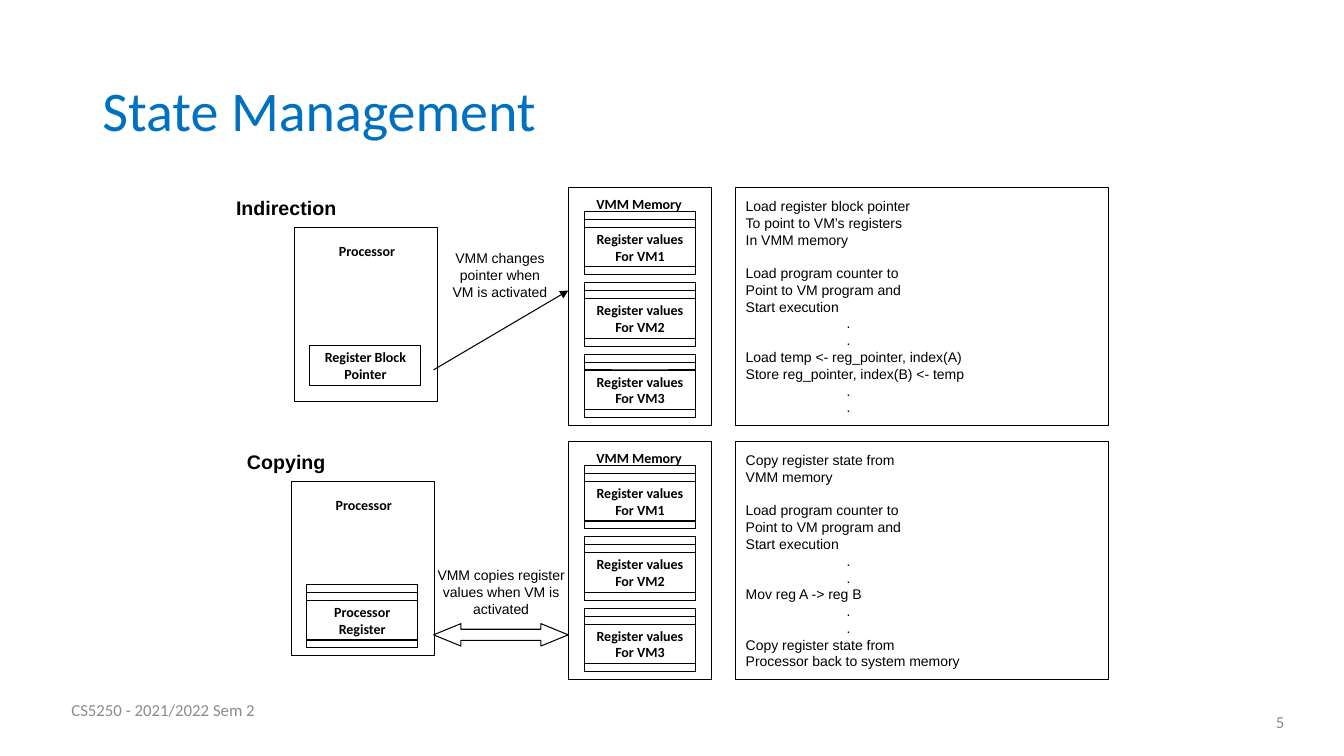
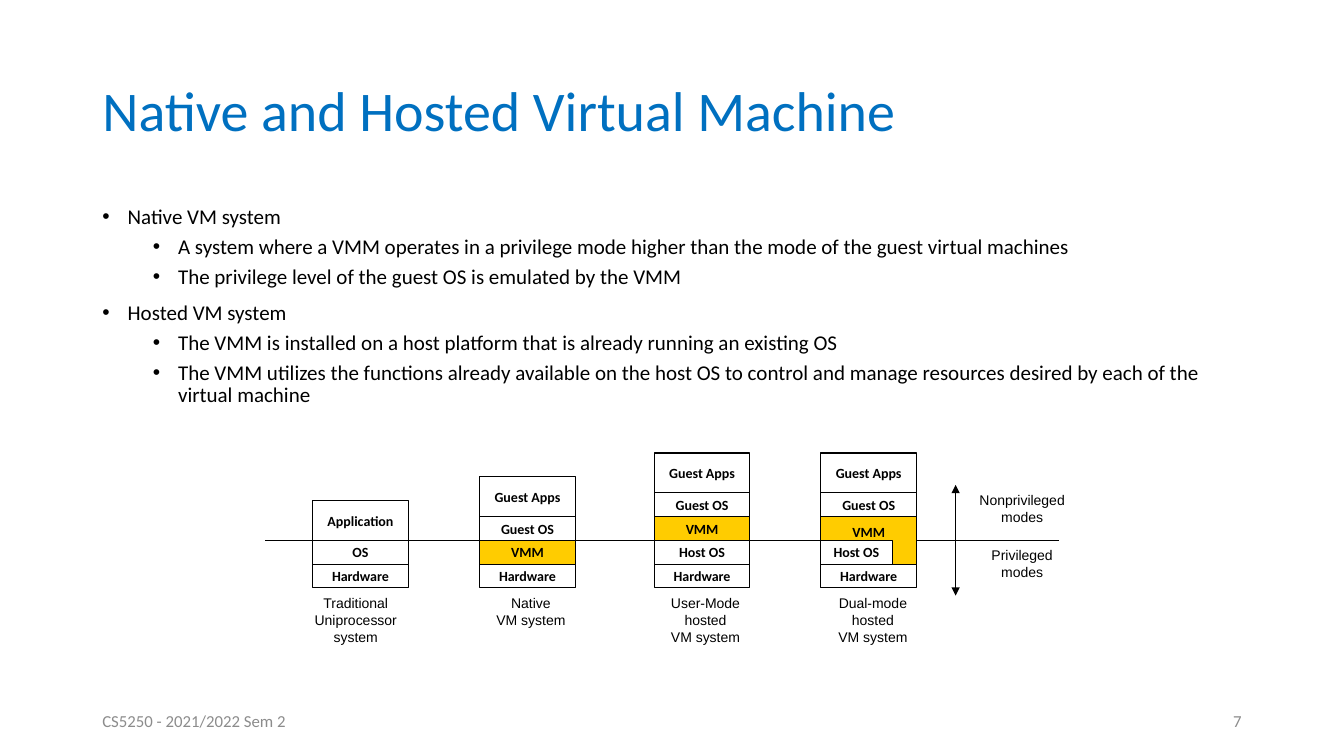
from lxml.etree import SubElement
from pptx import Presentation
from pptx.dml.color import RGBColor
from pptx.enum.shapes import MSO_CONNECTOR, MSO_SHAPE
from pptx.enum.text import MSO_ANCHOR, MSO_AUTO_SIZE, PP_ALIGN
from pptx.oxml.ns import qn
from pptx.util import Pt

BLACK, WHITE, BLUE, GRAY, GOLD = "000000", "FFFFFF", "0070C0", "8C8C8C", "FFCC00"
LEFT, CENTER, RIGHT = PP_ALIGN.LEFT, PP_ALIGN.CENTER, PP_ALIGN.RIGHT
TITLE_BOX = (66, 28.8, 828, 104.4)
BODY_BOX = (66, 144, 828, 342.7)
FOOTER = "CS5250 - 2021/2022 Sem 2"

INDIRECTION_CODE = [
    ["Load register block pointer", "To point to VM’s registers", "In VMM memory"],
    ["Load program counter to", "Point to VM program and", "Start execution", ".", ".",
     "Load temp <- reg_pointer, index(A)", "Store reg_pointer, index(B) <- temp", ".", "."],
]
COPYING_CODE = [
    ["Copy register state from", "VMM memory"],
    ["Load program counter to", "Point to VM program and", "Start execution", ".", ".",
     "Mov reg A -> reg B", ".", ".",
     "Copy register state from", "Processor back to system memory"],
]
PANELS = [
    ("Indirection", 134, 210.3, INDIRECTION_CODE),
    ("Copying", 315.5, 208, COPYING_CODE),
]
BULLETS = [
    (0, "Native VM system"),
    (1, "A system where a VMM operates in a privilege mode higher than the mode of "
        "the guest virtual machines"),
    (1, "The privilege level of the guest OS is emulated by the VMM"),
    (0, "Hosted VM system"),
    (1, "The VMM is installed on a host platform that is already running an existing OS"),
    (1, "The VMM utilizes the functions already available on the host OS to control and "
        "manage resources desired by each of the virtual machine"),
]
SLIM, TALL, WIDE = 17, 28.4, 68.5
SYSTEMS = [
    (223.2, 217.4, ["Traditional", "Uniprocessor", "system"],
     [("Hardware", SLIM), ("OS", SLIM), ("Application", TALL)]),
    (342.5, 342.5, ["Native", "VM system"],
     [("Hardware", SLIM), ("VMM", SLIM), ("Guest OS", SLIM), ("Guest Apps", TALL)]),
    (467.2, 467.2, ["User-Mode", "hosted", "VM system"],
     [("Hardware", SLIM), ("Host OS", SLIM), ("VMM", SLIM), ("Guest OS", SLIM),
      ("Guest Apps", TALL)]),
    (586.2, 586.8, ["Dual-mode", "hosted", "VM system"],
     [("Hardware", SLIM), ("VMM", 2 * SLIM), ("Guest OS", SLIM), ("Guest Apps", TALL)]),
]
MODES = [("Nonprivileged", 351.4), ("Privileged", 391)]
STACK_BOTTOM = 420
MODE_LINE = STACK_BOTTOM - 2 * SLIM


def rgb(value):
    return RGBColor.from_string(value)


def place(sp, x, y, w, h):
    sp.left, sp.top, sp.width, sp.height = Pt(x), Pt(y), Pt(w), Pt(h)


def write(tf, lines, size=10, font="Calibri", bold=False, color=BLACK, align=CENTER,
          anchor=MSO_ANCHOR.MIDDLE, spacing=None, inset=False):
    tf.auto_size = MSO_AUTO_SIZE.NONE
    tf.word_wrap = inset
    tf.vertical_anchor = anchor
    if not inset:
        tf.margin_left = tf.margin_right = tf.margin_top = tf.margin_bottom = 0
    for i, line in enumerate(lines):
        p = tf.paragraphs[0] if i == 0 else tf.add_paragraph()
        p.alignment = align
        if spacing:
            p.line_spacing = spacing
        r = p.add_run()
        r.text = line
        r.font.size, r.font.name, r.font.bold = Pt(size), font, bold
        r.font.color.rgb = rgb(color)
    return tf


def label(slide, lines, x, y, w, h, **fmt):
    return write(slide.shapes.add_textbox(Pt(x), Pt(y), Pt(w), Pt(h)).text_frame, lines, **fmt)


def note(slide, lines, x, y, w, h, **fmt):
    return label(slide, lines, x, y, w, h, font="Arial", spacing=Pt(12), **fmt)


def box(slide, x, y, w, h, lines=(), fill=None, kind=MSO_SHAPE.RECTANGLE, **fmt):
    sp = slide.shapes.add_shape(kind, Pt(x), Pt(y), Pt(w), Pt(h))
    sp.shadow.inherit = False
    if fill:
        sp.fill.solid()
        sp.fill.fore_color.rgb = rgb(fill)
    else:
        sp.fill.background()
    sp.line.color.rgb = rgb(BLACK)
    sp.line.width = Pt(0.75)
    write(sp.text_frame, lines, **{"bold": True, **fmt})
    return sp


def line(slide, x1, y1, x2, y2, ends=()):
    cn = slide.shapes.add_connector(MSO_CONNECTOR.STRAIGHT, Pt(x1), Pt(y1), Pt(x2), Pt(y2))
    cn.line.color.rgb = rgb(BLACK)
    cn.line.width = Pt(0.75)
    sp_pr = cn._element.spPr
    for end in ends:
        SubElement(sp_pr.find(qn("a:ln")), qn(f"a:{end}")).set("type", "triangle")
    SubElement(sp_pr, qn("a:effectLst"))


def new_slide(prs, layout, title, number, footer_at, number_at, number_align):
    slide = prs.slides.add_slide(prs.slide_layouts[layout])
    place(slide.shapes.title, *TITLE_BOX)
    write(slide.shapes.title.text_frame, [title], size=40, color=BLUE, align=LEFT,
          spacing=0.9, inset=True)
    small = dict(size=12, color=GRAY, inset=True)
    label(slide, [FOOTER], *footer_at, align=LEFT, **small)
    label(slide, [str(number)], *number_at, align=number_align, **small)
    return slide


def register_stack(slide, x, y, lines):
    strip, block = 5.67, 28.35
    for offset in (0, strip, 2 * strip + block):
        box(slide, x, y + offset, 79.4, strip)
    box(slide, x, y + 2 * strip, 79.4, block, lines)


def code_box(slide, y, groups):
    sp = box(slide, 525.6, y, 266.4, 170, [s for group in groups for s in group],
             font="Arial", bold=False, align=LEFT, spacing=Pt(12), inset=True)
    paragraphs = sp.text_frame.paragraphs
    paragraphs[len(groups[0])].space_before = Pt(12)
    for p in paragraphs:
        if p.text == ".":
            p._p.get_or_add_pPr().set("marL", str(Pt(72)))


def state_slide(prs):
    slide = new_slide(prs, 5, "State Management", 5, (43.9, 492.5, 216, 28.8),
                      (904.3, 501.1, 26, 28.8), LEFT)
    for name, y, cpu_x, code in PANELS:
        label(slide, [name], 168.5, y + 5.8, 72, 17.3, size=14, font="Arial", bold=True)
        box(slide, cpu_x, y + 28.3, 102.3, 124.7)
        label(slide, ["Processor"], cpu_x + 18.7, y + 34, 66.2, 22.3, bold=True)
        box(slide, 406, y, 102.3, 170)
        label(slide, ["VMM Memory"], 423.4, y + 5.8, 66.2, 11.5, bold=True)
        for i in range(3):
            register_stack(slide, 417.4, y + 17 + 51 * i, ["Register values", f"For VM{i + 1}"])
        code_box(slide, y, code)

    (_, top, top_x, _), (_, low, low_x, _) = PANELS
    box(slide, top_x + 11, top + 113, 79.4, 28.35, ["Register Block", "Pointer"])
    line(slide, 309.7, 264.2, 406, 207.5, ["tailEnd"])
    note(slide, ["VMM changes", "pointer when", "VM is activated"], 321.1, 179.3, 72, 34)
    register_stack(slide, low_x + 11, low + 102, ["Processor", "Register"])
    note(slide, ["VMM copies register", "values when VM is", "activated"], 309.7, 406, 96.5, 34)
    arrow = box(slide, 309.7, 445.5, 96.2, 16, kind=MSO_SHAPE.LEFT_RIGHT_ARROW)
    arrow.adjustments[0], arrow.adjustments[1] = 0.5, 1.22


def bullet_list(sp):
    place(sp, *BODY_BOX)
    tf = write(sp.text_frame, [text for _, text in BULLETS], size=15, align=LEFT,
               anchor=MSO_ANCHOR.TOP, spacing=0.9, inset=True)
    for p, (level, _) in zip(tf.paragraphs, BULLETS):
        p.level = level
        p.space_before = Pt(5 if level else 10)
        p_pr = p._p.get_or_add_pPr()
        p_pr.set("marL", str(Pt(18 + 36 * level)))
        p_pr.set("indent", str(Pt(-18)))
        SubElement(p_pr, qn("a:buFont")).set("typeface", "Arial")
        SubElement(p_pr, qn("a:buChar")).set("char", "•")


def machine_slide(prs):
    slide = new_slide(prs, 1, "Native and Hosted Virtual Machine", 7, (66, 500.5, 216, 28.8),
                      (678, 500.5, 216, 28.8), RIGHT)
    bullet_list(slide.placeholders[1])
    line(slide, 189.4, MODE_LINE, 756.7, MODE_LINE)
    for x, caption_x, caption, layers in SYSTEMS:
        y = STACK_BOTTOM
        for name, h in layers:
            y -= h
            sp = box(slide, x, y, WIDE, h, [name], fill=GOLD if name == "VMM" else None)
            if h == 2 * SLIM:
                sp.text_frame.margin_bottom = Pt(12)
                box(slide, x, MODE_LINE, 51, SLIM, ["Host OS"], fill=WHITE)
        note(slide, caption, caption_x, 425, 73.4, 36, anchor=MSO_ANCHOR.TOP)
    line(slide, 682.6, 346.3, 682.6, 425.5, ["headEnd", "tailEnd"])
    for name, y in MODES:
        note(slide, [name, "modes"], 694.1, y, 72, 23)


def main():
    prs = Presentation()
    prs.slide_width, prs.slide_height = Pt(960), Pt(540)
    state_slide(prs)
    machine_slide(prs)
    prs.save("out.pptx")


if __name__ == "__main__":
    main()
